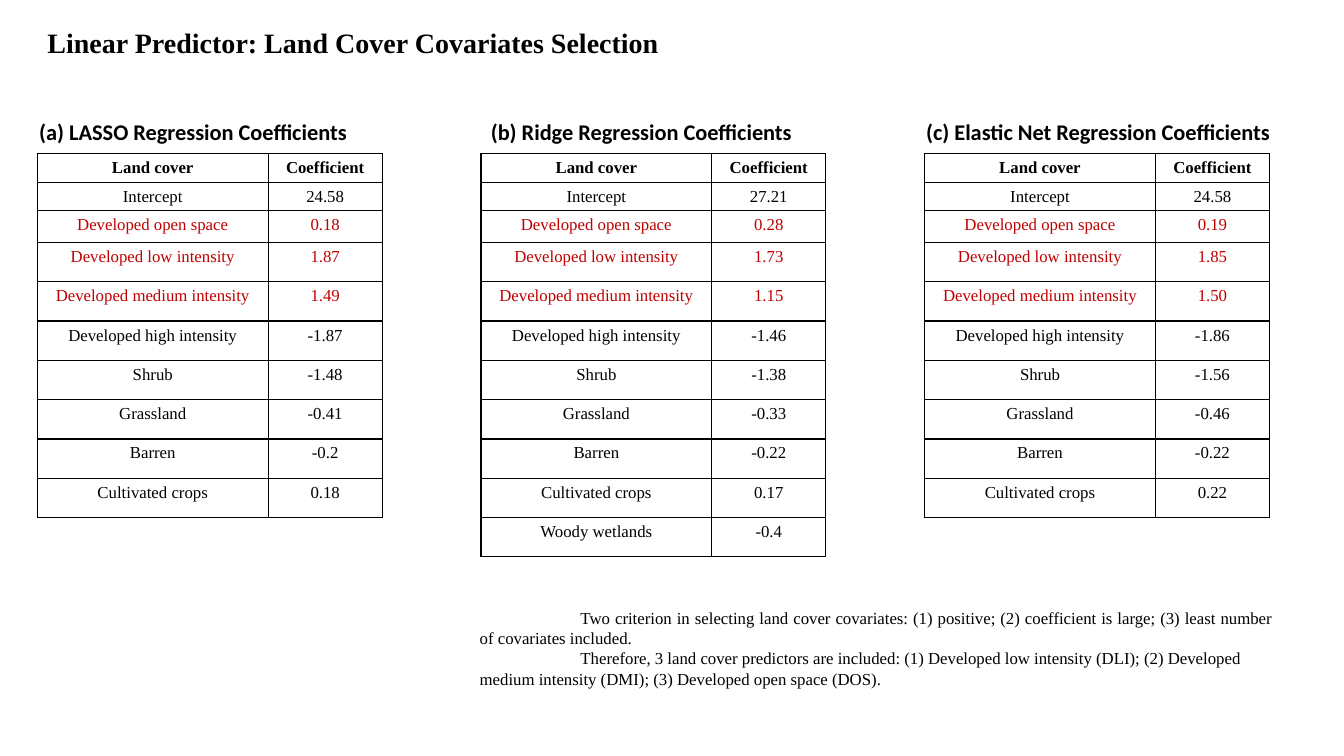
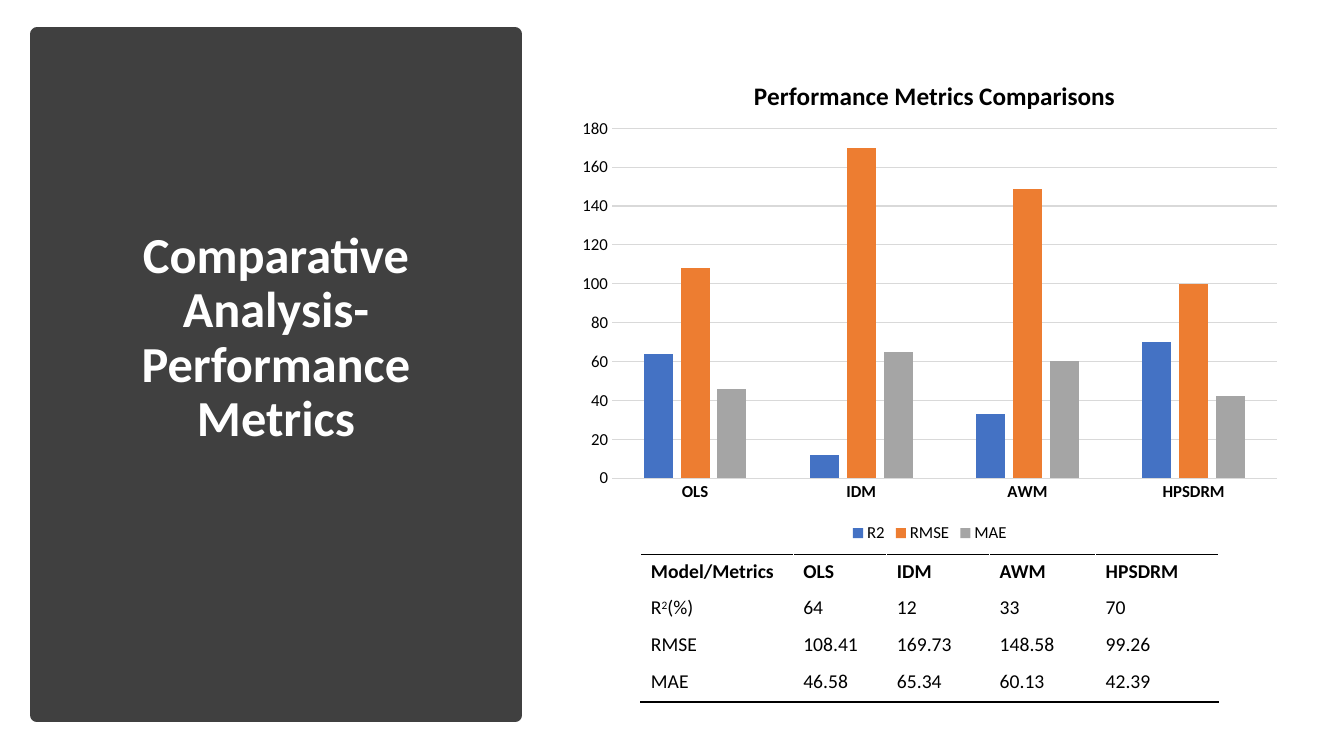
from lxml.etree import SubElement
from pptx import Presentation
from pptx.chart.data import CategoryChartData
from pptx.dml.color import RGBColor
from pptx.enum.chart import XL_CHART_TYPE, XL_LEGEND_POSITION, XL_TICK_MARK
from pptx.enum.shapes import MSO_SHAPE
from pptx.enum.text import MSO_ANCHOR, PP_ALIGN
from pptx.oxml import parse_xml
from pptx.oxml.ns import nsdecls, qn
from pptx.util import Cm, Pt

BLACK, WHITE, RED = "000000", "FFFFFF", "C00000"
PANEL, GRID = "404040", "D9D9D9"
SERIES_COLORS = ["4472C4", "ED7D31", "A5A5A5"]
SERIF, SANS = "Times New Roman", "Calibri"

LAND_COVERS = [
    "Intercept", "Developed open space", "Developed low intensity",
    "Developed medium intensity", "Developed high intensity", "Shrub",
    "Grassland", "Barren", "Cultivated crops", "Woody wetlands",
]
SELECTED = LAND_COVERS[1:4]
REGRESSIONS = [
    ("(a) LASSO Regression Coefficients", 0.74, 8.33,
     ["24.58", "0.18", "1.87", "1.49", "-1.87", "-1.48", "-0.41", "-0.2", "0.18"]),
    ("(b) Ridge Regression Coefficients", 12.12, 8.23,
     ["27.21", "0.28", "1.73", "1.15", "-1.46", "-1.38", "-0.33", "-0.22", "0.17", "-0.4"]),
    ("(c) Elastic Net Regression Coefficients", 23.09, 9.25,
     ["24.58", "0.19", "1.85", "1.50", "-1.86", "-1.56", "-0.46", "-0.22", "0.22"]),
]
CRITERIA = [
    ("Two criterion in selecting land cover covariates: (1) positive; (2) coefficient is large; "
     "(3) least number of covariates included.", True),
    ("Therefore, 3 land cover predictors are included: (1) Developed low intensity (DLI); "
     "(2) Developed", True),
    ("medium intensity (DMI); (3) Developed open space (DOS).", False),
]

MODELS = ["OLS", "IDM", "AWM", "HPSDRM"]
CHART_SERIES = {
    "R2": [64, 12, 33, 70],
    "RMSE": [108, 170, 149, 100],
    "MAE": [46, 65, 60, 42],
}
METRICS_TABLE = [
    ["Model/Metrics", *MODELS],
    ["R²(%)", "64", "12", "33", "70"],
    ["RMSE", "108.41", "169.73", "148.58", "99.26"],
    ["MAE", "46.58", "65.34", "60.13", "42.39"],
]


def rgb(color):
    return RGBColor.from_string(color)


def format_font(font, color=BLACK, **values):
    values = {"name": SANS, "size": 12, "bold": False, **values}
    values["size"] = Pt(values["size"])
    for name, value in values.items():
        setattr(font, name, value)
    font.color.rgb = rgb(color)


def set_borders(cell, sides):
    """Draw 1 pt black lines on the sides named by L, R, T and B."""
    properties = cell._tc.get_or_add_tcPr()
    for side in "LRTB":
        if side in sides:
            line = SubElement(properties, qn(f"a:ln{side}"), w=str(Pt(1)))
            fill = SubElement(line, qn("a:solidFill"))
            SubElement(fill, qn("a:srgbClr"), val=BLACK)


def set_layout(element, index, **fractions):
    """Place a chart part by fractions of the chart's size."""
    for layout in element.findall(qn("c:layout")):
        element.remove(layout)
    modes = {"xMode": "edge", "yMode": "edge"}
    if "w" in fractions:
        modes = {"layoutTarget": "inner", **modes}
    layout = parse_xml(f"<c:layout {nsdecls('c')}><c:manualLayout/></c:layout>")
    for name, value in {**modes, **fractions}.items():
        SubElement(layout[0], qn(f"c:{name}"), val=str(value))
    element.insert(index, layout)


class Deck:
    def __init__(self):
        self.presentation = Presentation()
        self.presentation.slide_width = Cm(33.87)
        self.presentation.slide_height = Cm(19.05)
        self.slide = None

    def new_slide(self):
        self.slide = self.presentation.slides.add_slide(self.presentation.slide_layouts[5])

    def title(self, text, box, align, wrap, **font):
        """Fill the title placeholder and bring it to the front."""
        title = self.slide.shapes.title
        title.left, title.top, title.width, title.height = map(Cm, box)
        frame = title.text_frame
        frame.text = text
        frame.word_wrap = wrap
        frame.vertical_anchor = MSO_ANCHOR.MIDDLE
        paragraph = frame.paragraphs[0]
        paragraph.alignment = align
        paragraph.line_spacing = 0.9
        format_font(paragraph.runs[0].font, bold=True, **font)
        self.slide.shapes.element.append(title.element)

    def text(self, paragraphs, box, align=PP_ALIGN.LEFT, wrap=True, **font):
        """Add a text box from (text, first line indented) pairs."""
        frame = self.slide.shapes.add_textbox(*map(Cm, box)).text_frame
        frame.word_wrap = wrap
        for index, (text, indented) in enumerate(paragraphs):
            paragraph = frame.add_paragraph() if index else frame.paragraphs[0]
            paragraph.alignment = align
            if indented:
                paragraph._p.get_or_add_pPr().set("indent", str(Cm(2.54)))
            run = paragraph.add_run()
            run.text = text
            format_font(run.font, **font)

    def panel(self, box, color):
        shape = self.slide.shapes.add_shape(MSO_SHAPE.RECTANGLE, *map(Cm, box))
        shape.shadow.inherit = False
        shape.fill.solid()
        shape.fill.fore_color.rgb = rgb(color)
        shape.line.color.rgb = rgb(color)
        shape.line.width = Pt(10)

    def table(self, rows, position, widths, heights, borders, align, red_rows=(), **font):
        """Add a table; borders maps a row index to the sides to draw."""
        size = (sum(widths), sum(heights))
        frame = self.slide.shapes.add_table(len(rows), len(widths), *map(Cm, (*position, *size)))
        table = frame.table
        table.first_row = table.horz_banding = False
        for column, width in zip(table.columns, widths):
            column.width = Cm(width)
        for row_index, (values, height) in enumerate(zip(rows, heights)):
            table.rows[row_index].height = Cm(height)
            for column_index, value in enumerate(values):
                cell = table.cell(row_index, column_index)
                set_borders(cell, borders(row_index))
                cell.fill.background()
                cell.margin_bottom = 0
                paragraph = cell.text_frame.paragraphs[0]
                paragraph.alignment = align
                color = RED if values[0] in red_rows else BLACK
                self.cell_runs(paragraph, value, color=color, bold=row_index == 0, **font)

    def cell_runs(self, paragraph, value, **font):
        """Write the value, with ² set as a raised 2."""
        before, mark, after = value.partition("²")
        for text, baseline in ((before, 0), (mark and "2", 30000), (after, 0)):
            if text:
                run = paragraph.add_run()
                run.text = text
                format_font(run.font, **font)
                if baseline:
                    run._r.get_or_add_rPr().set("baseline", str(baseline))

    def column_chart(self, title, categories, series, box):
        data = CategoryChartData()
        data.categories = categories
        for name, values in series.items():
            data.add_series(name, values)
        chart = self.slide.shapes.add_chart(
            XL_CHART_TYPE.COLUMN_CLUSTERED, *map(Cm, box), data).chart
        format_font(chart.font, size=10)

        chart.has_title = True
        paragraph = chart.chart_title.text_frame.paragraphs[0]
        run = paragraph.add_run()
        run.text = title
        format_font(run.font, size=18, bold=True)
        chart.has_legend = True
        chart.legend.position = XL_LEGEND_POSITION.BOTTOM
        chart.legend.include_in_layout = False
        format_font(chart.legend.font)

        for axis in (chart.category_axis, chart.value_axis):
            axis.major_tick_mark = axis.minor_tick_mark = XL_TICK_MARK.NONE
            format_font(axis.tick_labels.font, bold=axis is not chart.value_axis)
        format_font(chart.category_axis.tick_labels.font, bold=True)
        format_font(chart.value_axis.tick_labels.font)
        chart.value_axis.minimum_scale = 0
        chart.value_axis.maximum_scale = 180
        chart.value_axis.major_unit = 20
        chart.value_axis.format.line.fill.background()
        for line in (chart.category_axis.format.line,
                     chart.value_axis.major_gridlines.format.line):
            line.color.rgb = rgb(GRID)
            line.width = Pt(0.75)

        plot = chart.plots[0]
        plot.gap_width, plot.overlap = 219, -27
        plot.vary_by_categories = False
        for bars, color in zip(plot.series, SERIES_COLORS):
            bars.format.fill.solid()
            bars.format.fill.fore_color.rgb = rgb(color)
        set_layout(chart.element.find(f".//{qn('c:title')}"), 1, x=0.25, y=0.04)
        set_layout(chart.element.find(f".//{qn('c:plotArea')}"), 0, x=0.06, y=0.15, w=0.92, h=0.71)


def add_covariates_slide(deck):
    deck.new_slide()
    for index, (caption, caption_left, caption_width, values) in enumerate(REGRESSIONS):
        rows = [("Land cover", "Coefficient"), *zip(LAND_COVERS, values)]
        deck.table(rows, (0.94 + 11.18 * index, 3.87), [5.82, 2.87],
                   [0.72, 0.72, 0.8] + [0.99] * (len(rows) - 3),
                   lambda row: "LRTB", PP_ALIGN.CENTER, SELECTED, name=SERIF)
        deck.text([(caption, False)], (caption_left, 2.84, caption_width, 0.94),
                  wrap=False, size=16, bold=True)
    deck.text(CRITERIA, (11.84, 15.19, 20.5, 2.31), PP_ALIGN.JUSTIFY, name=SERIF)
    deck.title("Linear Predictor: Land Cover Covariates Selection", (0.94, 0.56, 16.03, 1.12),
               PP_ALIGN.LEFT, False, name=SERIF, size=20)


def add_metrics_slide(deck):
    deck.new_slide()
    deck.panel((0.94, 0.86, 12.04, 17.17), PANEL)
    deck.column_chart("Performance Metrics Comparisons", MODELS, CHART_SERIES,
                      (14.33, 1.37, 18.21, 12.42))
    borders = {0: "TB", 3: "B"}
    deck.table(METRICS_TABLE, (16.15, 13.97), [3.84, 2.36, 2.59, 2.67, 3.1], [0.93] * 4,
               lambda row: borders.get(row, ""), PP_ALIGN.LEFT, size=14)
    deck.title("Comparative Analysis-Performance Metrics", (2.13, 3.07, 9.65, 10.92),
               PP_ALIGN.CENTER, True, color=WHITE, size=36)


def main():
    deck = Deck()
    add_covariates_slide(deck)
    add_metrics_slide(deck)
    deck.presentation.save("out.pptx")


if __name__ == "__main__":
    main()
